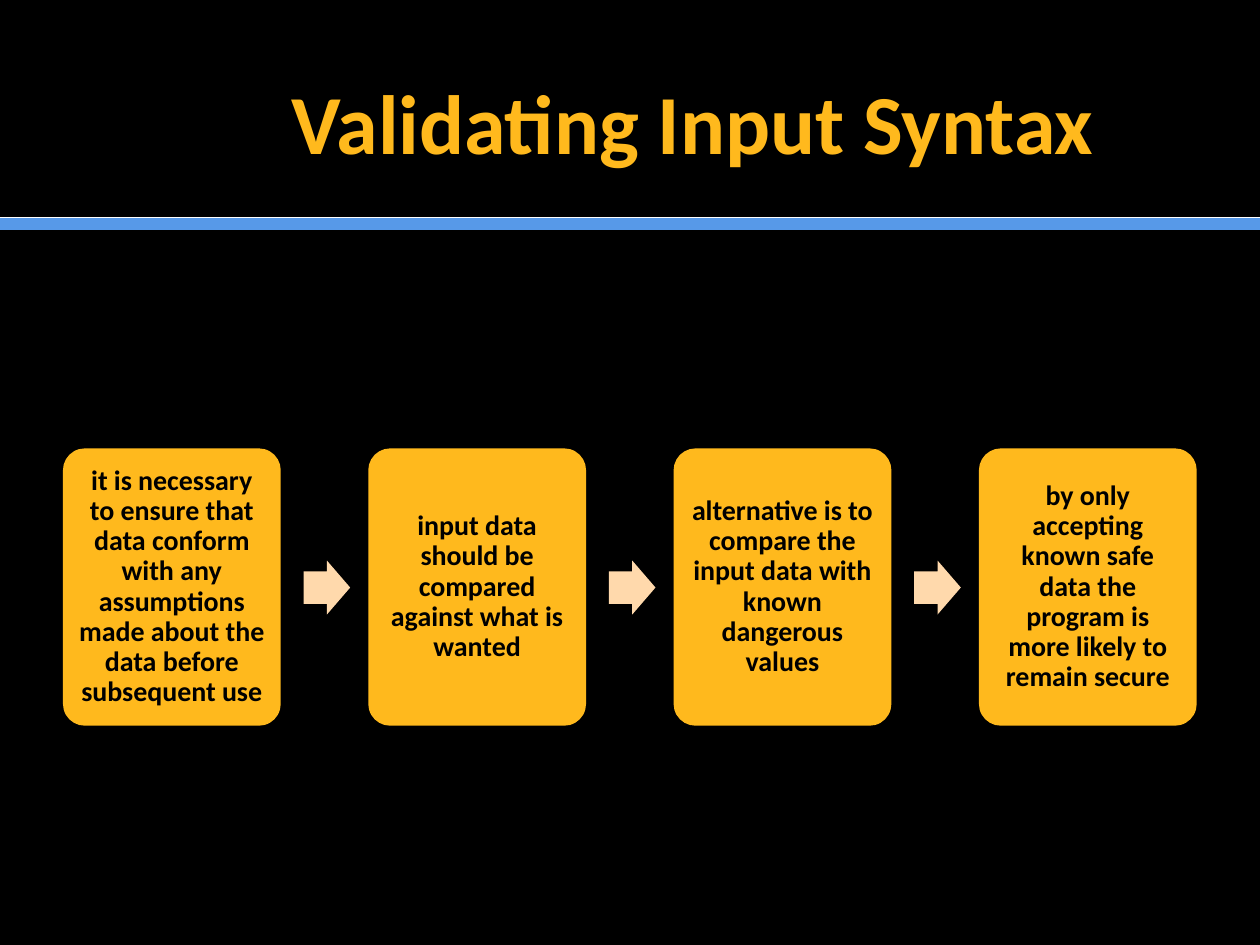
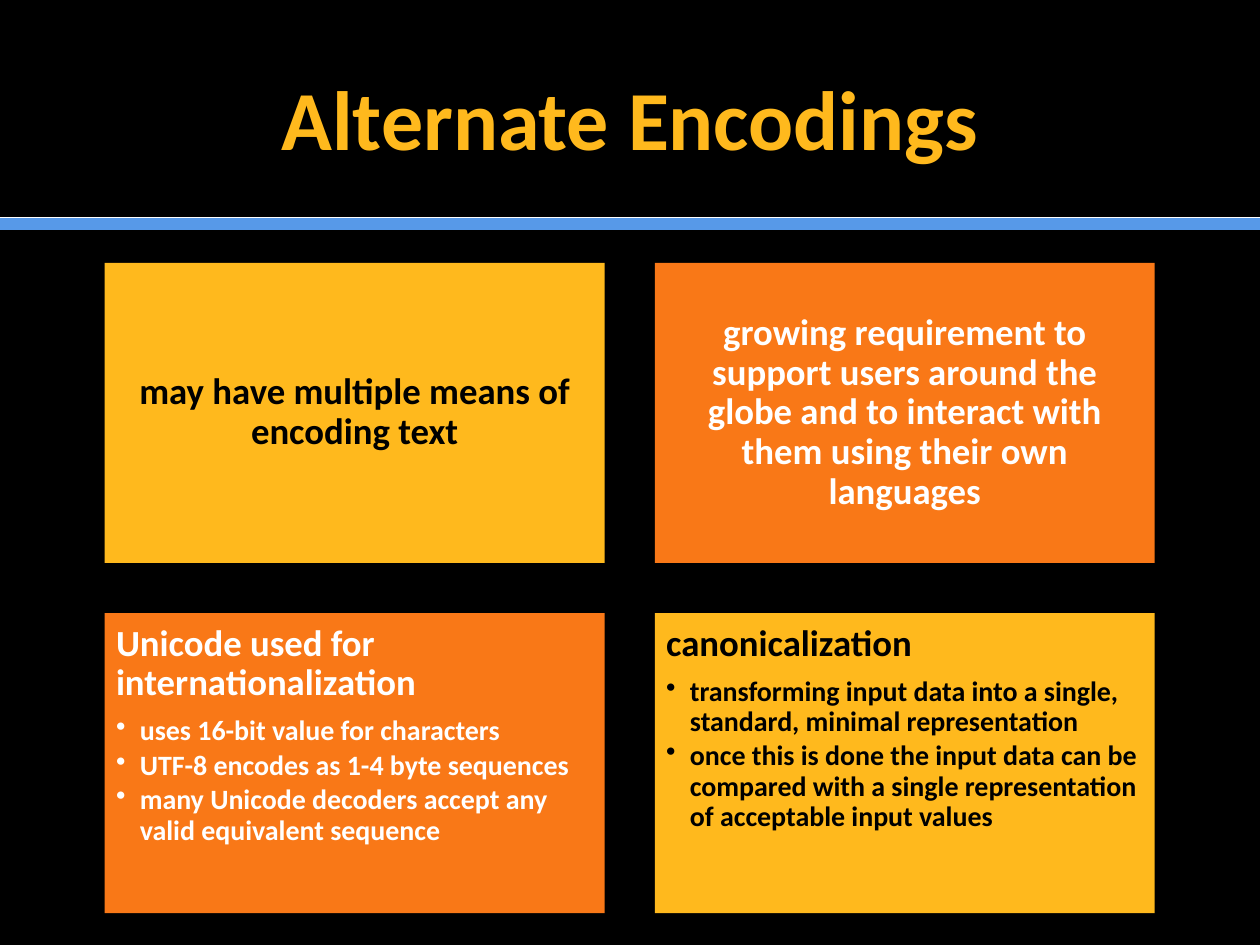
from dataclasses import dataclass

from lxml.etree import SubElement
from pptx import Presentation
from pptx.dml.color import RGBColor
from pptx.enum.shapes import MSO_CONNECTOR as Connector, MSO_SHAPE as Shape
from pptx.enum.text import MSO_ANCHOR as Anchor, MSO_AUTO_SIZE as AutoSize, PP_ALIGN as Align
from pptx.oxml.ns import qn
from pptx.util import Cm, Pt

BLACK, WHITE = "000000", "FFFFFF"
GOLD, ORANGE, PEACH, BLUE = "FFB91D", "F97817", "FFD9AC", "5799E8"
FONT = "Calibri"
PAGE_WIDTH, PAGE_HEIGHT = 25.4, 19.05


@dataclass(frozen=True)
class Area:
    left: float
    top: float
    width: float
    height: float

    def shifted(self, right: float = 0, down: float = 0) -> "Area":
        return Area(self.left + right, self.top + down, self.width, self.height)

    def lengths(self) -> list:
        return [Cm(value) for value in (self.left, self.top, self.width, self.height)]


@dataclass(frozen=True)
class Rule:
    top: float
    color: str
    weight: float


@dataclass(frozen=True)
class Card:
    heading: str
    fill: str
    color: str
    bullets: tuple = ()


RULES = (Rule(4.52, BLUE, 7), Rule(4.39, WHITE, 0.5))

STEPS = (
    "it is necessary to ensure that data conform with any assumptions made about the data before subsequent use",
    "input data should be compared against what is wanted",
    "alternative is to compare the input data with known dangerous values",
    "by only accepting known safe data the program is more likely to remain secure",
)
STEP_AREA = Area(1.27, 9.04, 4.39, 5.59)
ARROW_AREA = Area(6.12, 11.3, 0.94, 1.09)
STEP_PITCH = 6.155

CARDS = (
    Card("may have multiple means of encoding text", GOLD, BLACK),
    Card(
        "growing requirement to support users around the globe and to interact "
        "with them using their own languages",
        ORANGE,
        WHITE,
    ),
    Card(
        "Unicode used for internationalization",
        ORANGE,
        WHITE,
        (
            "uses 16-bit value for characters",
            "UTF-8 encodes as 1-4 byte sequences",
            "many Unicode decoders accept any valid equivalent sequence",
        ),
    ),
    Card(
        "canonicalization",
        GOLD,
        BLACK,
        (
            "transforming input data into a single, standard, minimal representation",
            "once this is done the input data can be compared with a single "
            "representation of acceptable input values",
        ),
    ),
)
CARD_AREA = Area(2.11, 5.3, 10.08, 6.05)
CARD_GAP = 1.01


def rgb(color: str) -> RGBColor:
    return RGBColor.from_string(color)


def apply(target, values: dict) -> None:
    for name, value in values.items():
        setattr(target, name, value)


def style_font(para, size: float, color: str) -> None:
    apply(para.font, {"name": FONT, "size": Pt(size), "bold": True})
    para.font.color.rgb = rgb(color)


def add_rule(page, rule: Rule) -> None:
    line = page.shapes.add_connector(
        Connector.STRAIGHT, 0, Cm(rule.top), Cm(PAGE_WIDTH), Cm(rule.top)
    )
    line.line.color.rgb = rgb(rule.color)
    line.line.width = Pt(rule.weight)
    SubElement(line._element.spPr, qn("a:effectLst"))


def add_page(deck, title: str, area: Area):
    page = deck.slides.add_slide(deck.slide_layouts.get_by_name("Title Only"))
    page.background.fill.solid()
    page.background.fill.fore_color.rgb = rgb(BLACK)
    for rule in RULES:
        add_rule(page, rule)
    box = page.shapes.title
    apply(box, dict(zip(("left", "top", "width", "height"), area.lengths())))
    frame = box.text_frame
    frame.text = title
    apply(frame, {"auto_size": AutoSize.NONE, "vertical_anchor": Anchor.MIDDLE, "word_wrap": True})
    para = frame.paragraphs[0]
    para.alignment = Align.CENTER
    style_font(para, 48, GOLD)
    return page


def add_block(page, kind: Shape, area: Area, fill: str, adjustments: tuple = ()):
    block = page.shapes.add_shape(kind, *area.lengths())
    block.shadow.inherit = False
    block.fill.solid()
    block.fill.fore_color.rgb = rgb(fill)
    block.line.fill.background()
    for index, value in enumerate(adjustments):
        block.adjustments[index] = value
    return block


def write_heading(block, text: str, size: float, color: str, inset: float, centered: bool = True):
    frame = block.text_frame
    sides = ("margin_left", "margin_top", "margin_right", "margin_bottom")
    apply(frame, dict.fromkeys(sides, Cm(inset)))
    apply(frame, {"word_wrap": True, "vertical_anchor": Anchor.MIDDLE if centered else Anchor.TOP})
    para = frame.paragraphs[0]
    para.text = text
    apply(para, {"alignment": Align.CENTER if centered else Align.LEFT, "line_spacing": 0.9})
    style_font(para, size, color)
    return frame


def add_bullet(frame, text: str, color: str, gap: float) -> None:
    para = frame.add_paragraph()
    para.text = text
    properties = para._p.get_or_add_pPr()
    properties.set("marL", str(Cm(0.48)))
    properties.set("indent", str(-Cm(0.48)))
    SubElement(properties, qn("a:buChar")).set("char", "•")
    apply(para, {"level": 1, "alignment": Align.LEFT, "line_spacing": 0.9, "space_before": Pt(gap)})
    style_font(para, 16, color)


def add_steps(page) -> None:
    for index, text in enumerate(STEPS):
        shift = index * STEP_PITCH
        if index:
            arrow_area = ARROW_AREA.shifted(shift - STEP_PITCH)
            add_block(page, Shape.RIGHT_ARROW, arrow_area, PEACH, (0.6, 0.5))
        block = add_block(page, Shape.ROUNDED_RECTANGLE, STEP_AREA.shifted(shift), GOLD, (0.1,))
        write_heading(block, text, 16, BLACK, 0.17)


def add_cards(page) -> None:
    for index, card in enumerate(CARDS):
        row, column = divmod(index, 2)
        area = CARD_AREA.shifted(
            column * (CARD_AREA.width + CARD_GAP), row * (CARD_AREA.height + CARD_GAP)
        )
        block = add_block(page, Shape.RECTANGLE, area, card.fill)
        frame = write_heading(block, card.heading, 21, card.color, 0.23, not card.bullets)
        for position, text in enumerate(card.bullets):
            add_bullet(frame, text, card.color, 2.4 if position else 7.4)


def main() -> None:
    deck = Presentation()
    apply(deck, {"slide_width": Cm(PAGE_WIDTH), "slide_height": Cm(PAGE_HEIGHT)})
    add_steps(add_page(deck, "Validating Input Syntax", Area(2.54, 0.85, 22.86, 3.18)))
    add_cards(add_page(deck, "Alternate Encodings", Area(1.27, 0.76, 22.86, 3.18)))
    deck.save("out.pptx")


if __name__ == "__main__":
    main()
